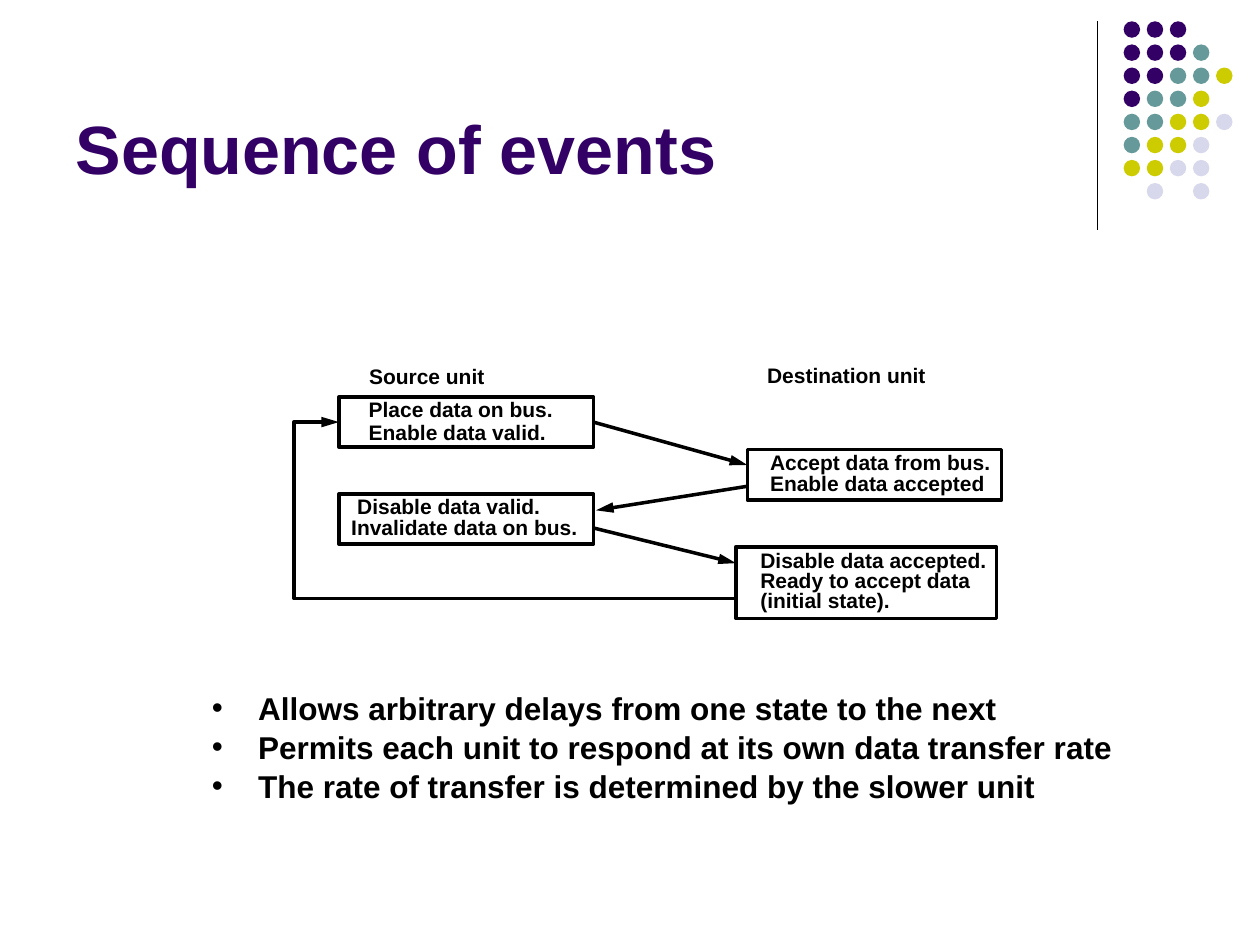
import dataclasses

import lxml.etree
import pptx
import pptx.dml.color
import pptx.enum.shapes
import pptx.enum.text
import pptx.oxml.ns
import pptx.util

Pt = pptx.util.Pt
RGB = pptx.dml.color.RGBColor.from_string
SHAPE = pptx.enum.shapes.MSO_SHAPE
STRAIGHT = pptx.enum.shapes.MSO_CONNECTOR.STRAIGHT
ANCHOR = pptx.enum.text.MSO_ANCHOR


@dataclasses.dataclass(frozen=True)
class Theme:
    font: str = "Arial"
    ink: str = "000000"
    title: str = "330066"
    title_size: float = 39
    list_size: float = 18
    label_size: float = 12
    line: float = 2
    rule: float = 0.75
    dots: tuple = (("P", "330066"), ("T", "669999"), ("Y", "CCCC00"), ("L", "D8D8EC"))


@dataclasses.dataclass(frozen=True)
class Box:
    left: float
    top: float
    width: float
    height: float

    def inside(self, left, top, width, height):
        return Box(self.left + left, self.top + top, width, height)

    def point(self, x, y):
        return Pt(self.left + x), Pt(self.top + y)

    def lengths(self):
        return [Pt(n) for n in (self.left, self.top, self.width, self.height)]


THEME = Theme()
DOT_ROWS = ("PPP", "PPPT", "PPTTY", "PTTY", "TTYYL", "TYYL", "YYLL", " L L")
BULLETS = (
    "Allows arbitrary delays from one state to the next",
    "Permits each unit to respond at its own data transfer rate",
    "The rate of transfer is determined by the slower unit",
)


def add_xml(parent, tag, **attributes):
    return lxml.etree.SubElement(parent, pptx.oxml.ns.qn(tag), attributes)


def place(shape, box):
    shape.left, shape.top, shape.width, shape.height = box.lengths()


def write(shape, lines, size, color, anchor, insets=(7.2, 3.6, 7.2, 3.6), spacing=None):
    frame = shape.text_frame
    frame.text = "\n".join(lines)
    frame.word_wrap = True
    frame.auto_size = pptx.enum.text.MSO_AUTO_SIZE.NONE
    frame.vertical_anchor = anchor
    (frame.margin_left, frame.margin_top,
     frame.margin_right, frame.margin_bottom) = [Pt(n) for n in insets]
    for para in frame.paragraphs:
        para.alignment = pptx.enum.text.PP_ALIGN.LEFT
        para.space_before = Pt(0)
        if spacing:
            para.line_spacing = spacing
        for span in para.runs:
            span.font.name = THEME.font
            span.font.size = Pt(size)
            span.font.bold = True
            span.font.color.rgb = RGB(color)
    return frame


def add_line(page, start, end, weight):
    line = page.shapes.add_connector(STRAIGHT, *start, *end)
    line.line.color.rgb = RGB(THEME.ink)
    line.line.width = Pt(weight)
    add_xml(line._element.spPr, "a:effectLst")
    return line


def add_arrowhead(shape):
    add_xml(shape.line._get_or_add_ln(), "a:tailEnd", type="triangle", w="med", len="lg")


def add_ornament(page, box):
    # Vertical rule with a grid of dots to its right
    add_line(page, box.point(0, 0), box.point(0, box.height), THEME.rule)
    colors = dict(THEME.dots)
    group = page.shapes.add_group_shape()
    pitch, size = 13.2, 9.4
    for row, keys in enumerate(DOT_ROWS):
        for column, key in enumerate(keys):
            if key == " ":
                continue
            spot = box.inside(15 + column * pitch, row * pitch, size, size)
            dot = group.shapes.add_shape(SHAPE.OVAL, *spot.lengths())
            dot.shadow.inherit = False
            dot.fill.solid()
            dot.fill.fore_color.rgb = RGB(colors[key])
            dot.line.fill.background()


def add_title(page, box):
    title = page.shapes.title
    place(title, box)
    write(title, ["Sequence of events"], THEME.title_size, THEME.title, ANCHOR.BOTTOM)


def add_label(page, box, text):
    label = page.shapes.add_textbox(*box.lengths())
    write(label, [text], THEME.label_size, THEME.ink, ANCHOR.TOP, spacing=0.9)


def add_state(page, box, lines, inset, spacing=0.8):
    state = page.shapes.add_shape(SHAPE.RECTANGLE, *box.lengths())
    state.shadow.inherit = False
    state.fill.background()
    state.line.color.rgb = RGB(THEME.ink)
    state.line.width = Pt(THEME.line)
    write(state, lines, THEME.label_size, THEME.ink, ANCHOR.MIDDLE, (inset, 0, 0, 0), spacing)
    return state


def add_diagram(page, box):
    source, accept, accepted = 25.7, 259, 252.5
    wide, high = 145.4, 28.8

    # Column labels
    add_label(page, box.inside(35.8, 1, 110, 20), "Source unit")
    add_label(page, box.inside(263.3, 0, 125, 20), "Destination unit")

    # States
    placed = add_state(page, box.inside(source, 21.8, wide, high),
                       ["Place data on bus.", "Enable data valid."], 17, 0.9)
    add_state(page, box.inside(accept, 52, wide, high),
              ["Accept data from bus.", "Enable data accepted"], 13)
    disabled = add_state(page, box.inside(source, 77.2, wide, high),
                         ["Disable data valid.", "Invalidate data on bus."], 7)
    disabled.text_frame.paragraphs[0]._p.get_or_add_pPr().set("indent", str(Pt(3.4)))
    add_state(page, box.inside(accepted, 107.5, 149, 41),
              ["Disable data accepted.", "Ready to accept data", "(initial state)."], 14)

    # Transitions between the units
    right = source + wide
    ends = (
        ((right, 36.2), (accept, 60.7)),
        ((accept, 72.9), (right + 1.5, 86.6)),
        ((right, 96.7), (accepted, 116.8)),
    )
    arrows = [add_line(page, box.point(*start), box.point(*end), THEME.line)
              for start, end in ends]
    arrows[0].begin_connect(placed, 3)

    # Return path to the first state
    builder = page.shapes.build_freeform(*box.point(accepted, 137))
    corners = ((0, 137), (0, 36.2), (source, 36.2))
    builder.add_line_segments([box.point(*corner) for corner in corners], close=False)
    loop = builder.convert_to_shape()
    loop.shadow.inherit = False
    loop.fill.background()
    loop.line.color.rgb = RGB(THEME.ink)
    loop.line.width = Pt(THEME.line)
    for arrow in (*arrows, loop):
        add_arrowhead(arrow)


def add_list(page, box):
    body = page.placeholders[1]
    place(body, box)
    frame = write(body, BULLETS, THEME.list_size, THEME.ink, ANCHOR.TOP, spacing=1.03)
    for para in frame.paragraphs:
        properties = para._p.get_or_add_pPr()
        properties.set("marL", str(Pt(26.5)))
        properties.set("indent", str(Pt(-26.5)))
        add_xml(add_xml(properties, "a:buClr"), "a:srgbClr", val=THEME.ink)
        add_xml(properties, "a:buChar", char="•")


def main():
    deck = pptx.Presentation()
    deck.slide_width, deck.slide_height = Pt(720), Pt(540)
    page = deck.slides.add_slide(deck.slide_layouts[1])
    add_ornament(page, Box(627.1, 12.2, 77, 119.5))
    add_title(page, Box(36, 9.4, 594, 102))
    add_diagram(page, Box(168, 205, 405, 149))
    add_list(page, Box(113.8, 389.5, 570, 72))
    deck.save("out.pptx")


if __name__ == "__main__":
    main()
